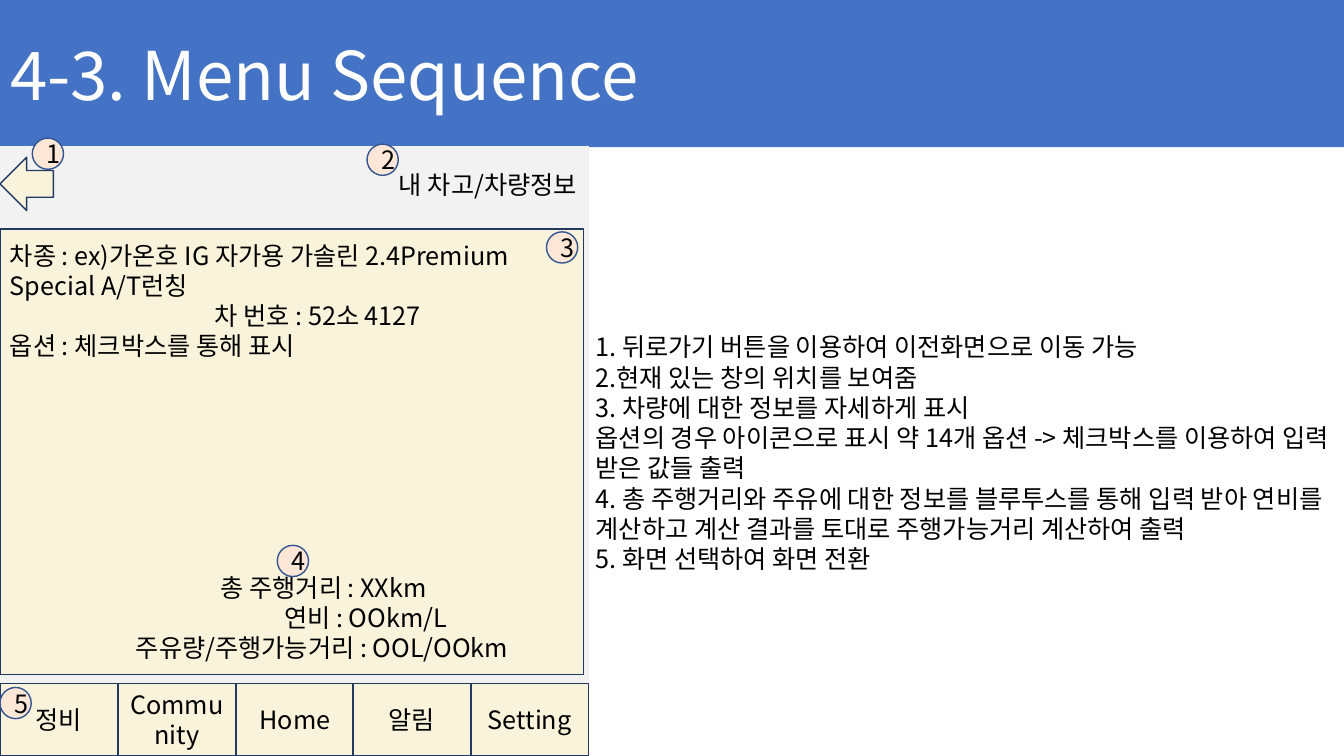
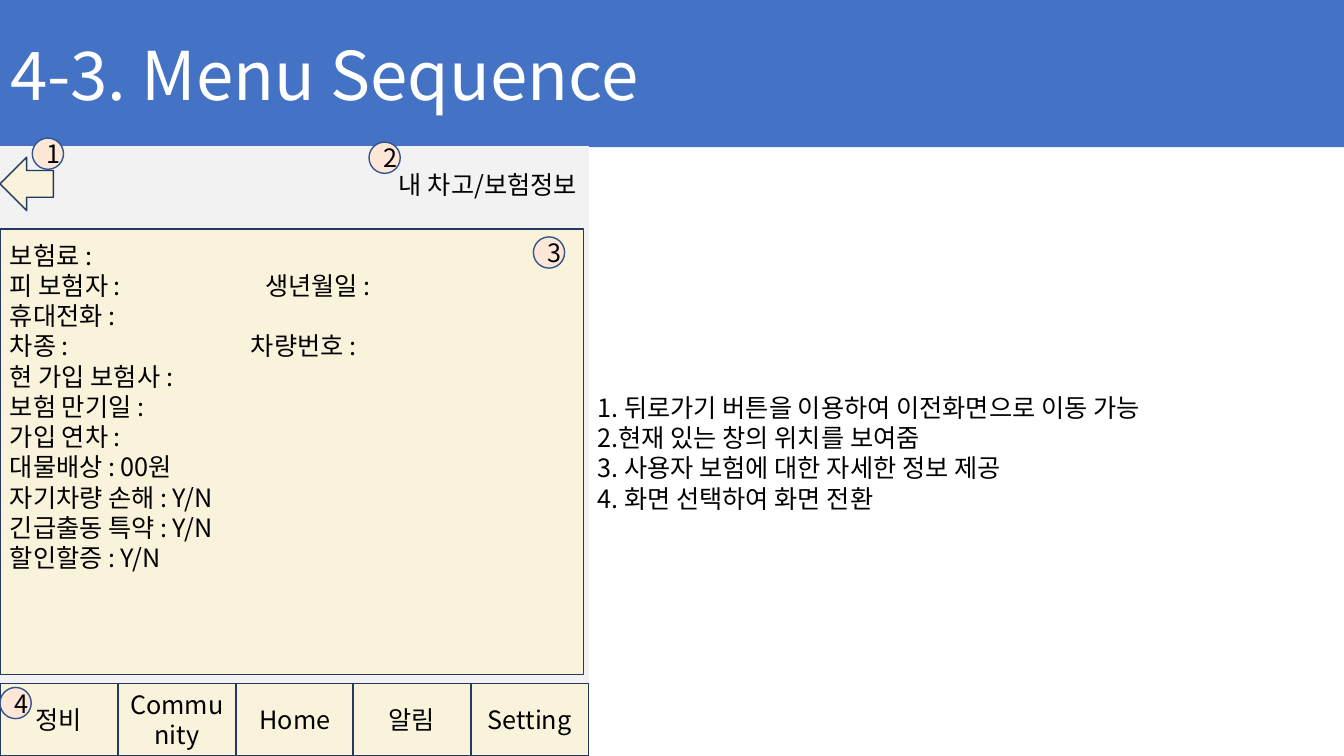
from pptx import Presentation
from pptx import util as u
from pptx.dml.color import RGBColor
from pptx.enum import shapes, text
from pptx.oxml.ns import qn
from lxml import etree

PX = 9144  # one hundredth of an inch
FONT = "Noto Sans CJK KR"
COLORS = {"band": "4472C4", "screen": "F2F2F2", "cream": "FAF3DB", "navy": "223961",
          "badge": "FFE7D8", "ring": "325491", "ink": "000000", "white": "FFFFFF"}
LEFT, CENTER, RIGHT = text.PP_ALIGN.LEFT, text.PP_ALIGN.CENTER, text.PP_ALIGN.RIGHT
SHAPE = shapes.MSO_SHAPE
MENU = ["정비", "Community", "Home", "알림", "Setting"]
SCREEN_WIDTH, BADGE_SIZE = 584, 31


def color(name):
    return RGBColor.from_string(COLORS[name])


def assign(target, values):
    for name, value in values.items():
        setattr(target, name, value)


class Storyboard:
    def __init__(self, width, height):
        self.deck = Presentation()
        assign(self.deck, {"slide_width": width * PX, "slide_height": height * PX})
        self.page = None

    def new_page(self, title):
        self.page = self.deck.slides.add_slide(self.deck.slide_layouts[5])
        band = self.page.shapes.title
        assign(band, {"left": 0, "top": 0, "width": self.deck.slide_width, "height": 146 * PX})
        band.fill.solid()
        band.fill.fore_color.rgb = color("band")
        self.fill_text(band, [title], size=48, ink="white")

    def fill_text(self, box, lines, align=LEFT, size=18, ink="ink", **frame_format):
        """Each line is a string, or a string with its indent, gap or tab."""
        frame = box.text_frame
        assign(frame, {"word_wrap": True, "auto_size": text.MSO_AUTO_SIZE.NONE,
                       "vertical_anchor": text.MSO_ANCHOR.MIDDLE, **frame_format})
        for number, line in enumerate(lines):
            words, layout = line if isinstance(line, tuple) else (line, {})
            para = frame.add_paragraph() if number else frame.paragraphs[0]
            assign(para, {"alignment": align, "line_spacing": 1.0,
                          "space_before": u.Pt(layout.get("gap", 0))})
            props = para._p.get_or_add_pPr()
            if "indent" in layout:
                props.set("marL", str(layout["indent"] * PX))
                props.set("indent", "0")
            if "tab" in layout:
                stops = etree.SubElement(props, qn("a:tabLst"))
                etree.SubElement(stops, qn("a:tab"), pos=str(layout["tab"] * PX), algn="l")
            span = para.add_run()
            span.text = words
            assign(span.font, {"name": FONT, "size": u.Pt(size)})
            span.font.color.rgb = color(ink)
            etree.SubElement(span._r.get_or_add_rPr(), qn("a:ea"), typeface=FONT)

    def shape(self, kind, area, fill, line=None):
        box = self.page.shapes.add_shape(kind, *(length * PX for length in area))
        box.shadow.inherit = False
        box.fill.solid()
        box.fill.fore_color.rgb = color(fill)
        if line:
            box.line.color.rgb = color(line)
            box.line.width = u.Pt(1)
        else:
            box.line.fill.background()
        return box

    def label(self, area, lines, align=LEFT):
        box = self.page.shapes.add_textbox(*(length * PX for length in area))
        self.fill_text(box, lines, align)

    def badge(self, number, left, top):
        circle = self.shape(SHAPE.OVAL, (left, top, BADGE_SIZE, BADGE_SIZE), "badge", "ring")
        self.fill_text(circle, [str(number)], CENTER)

    def app_screen(self, location, details):
        self.shape(SHAPE.RECTANGLE, (0, 145, SCREEN_WIDTH, 605), "screen")
        # Bottom menu
        for index, name in enumerate(MENU):
            left = round(index * SCREEN_WIDTH / len(MENU))
            button = self.shape(SHAPE.RECTANGLE, (left, 678, 117, 72), "cream", "navy")
            self.fill_text(button, [name], CENTER)
        # Detail panel
        panel = self.shape(SHAPE.RECTANGLE, (0, 227, 579, 442), "cream", "navy")
        self.fill_text(panel, details, vertical_anchor=text.MSO_ANCHOR.TOP, margin_top=11 * PX)
        # Back button and location
        self.shape(SHAPE.LEFT_ARROW, (0, 156, 53, 53), "cream", "navy")
        self.label((138, 147, 444, 72), [location], RIGHT)


PAGES = [
    {"location": "내 차고/차량정보",
     "details": ["차종 : ex)가온호 IG 자가용 가솔린 2.4Premium Special A/T런칭",
                 ("차 번호 : 52소 4127", {"indent": 203}),
                 "옵션 : 체크박스를 통해 표시",
                 ("총 주행거리 : XXkm", {"indent": 209, "gap": 151}),
                 ("연비 : OOkm/L", {"indent": 272}),
                 ("주유량/주행가능거리 : OOL/OOkm", {"indent": 125})],
     "notes_left": 581,
     "notes": ["1. 뒤로가기 버튼을 이용하여 이전화면으로 이동 가능",
               "2.현재 있는 창의 위치를 보여줌",
               "3. 차량에 대한 정보를 자세하게 표시",
               "옵션의 경우 아이콘으로 표시 약 14개 옵션 -> 체크박스를 이용하여 입력 받은 값들 출력",
               "4. 총 주행거리와 주유에 대한 정보를 블루투스를 통해 입력 받아 "
               "연비를 계산하고 계산 결과를 토대로 주행가능거리 계산하여 출력",
               "5. 화면 선택하여 화면 전환"],
     "badges": [(32, 137), (364, 143), (542, 230), (275, 541), (0, 682)]},
    {"location": "내 차고/보험정보",
     "details": ["보험료 :",
                 ("피 보험자 :\t생년월일 :", {"tab": 253}),
                 "휴대전화 :",
                 ("차종 :\t차량번호 :", {"tab": 239}),
                 "현 가입 보험사 :", "보험 만기일 :", "가입 연차 :", "대물배상 : 00원",
                 "자기차량 손해 : Y/N", "긴급출동 특약 : Y/N", "할인할증 : Y/N"],
     "notes_left": 583,
     "notes": ["1. 뒤로가기 버튼을 이용하여 이전화면으로 이동 가능",
               "2.현재 있는 창의 위치를 보여줌",
               "3. 사용자 보험에 대한 자세한 정보 제공",
               "4. 화면 선택하여 화면 전환"],
     "badges": [(32, 137), (366, 141), (529, 235), (0, 682)]},
]


def main():
    board = Storyboard(1333, 750)
    for content in PAGES:
        board.new_page("4-3. Menu Sequence")
        board.app_screen(content["location"], content["details"])
        # Explanations and their numbered markers
        left = content["notes_left"]
        board.label((left, 148, 1334 - left, 602), content["notes"])
        for number, (x, y) in enumerate(content["badges"], 1):
            board.badge(number, x, y)
    board.deck.save("out.pptx")


if __name__ == "__main__":
    main()
